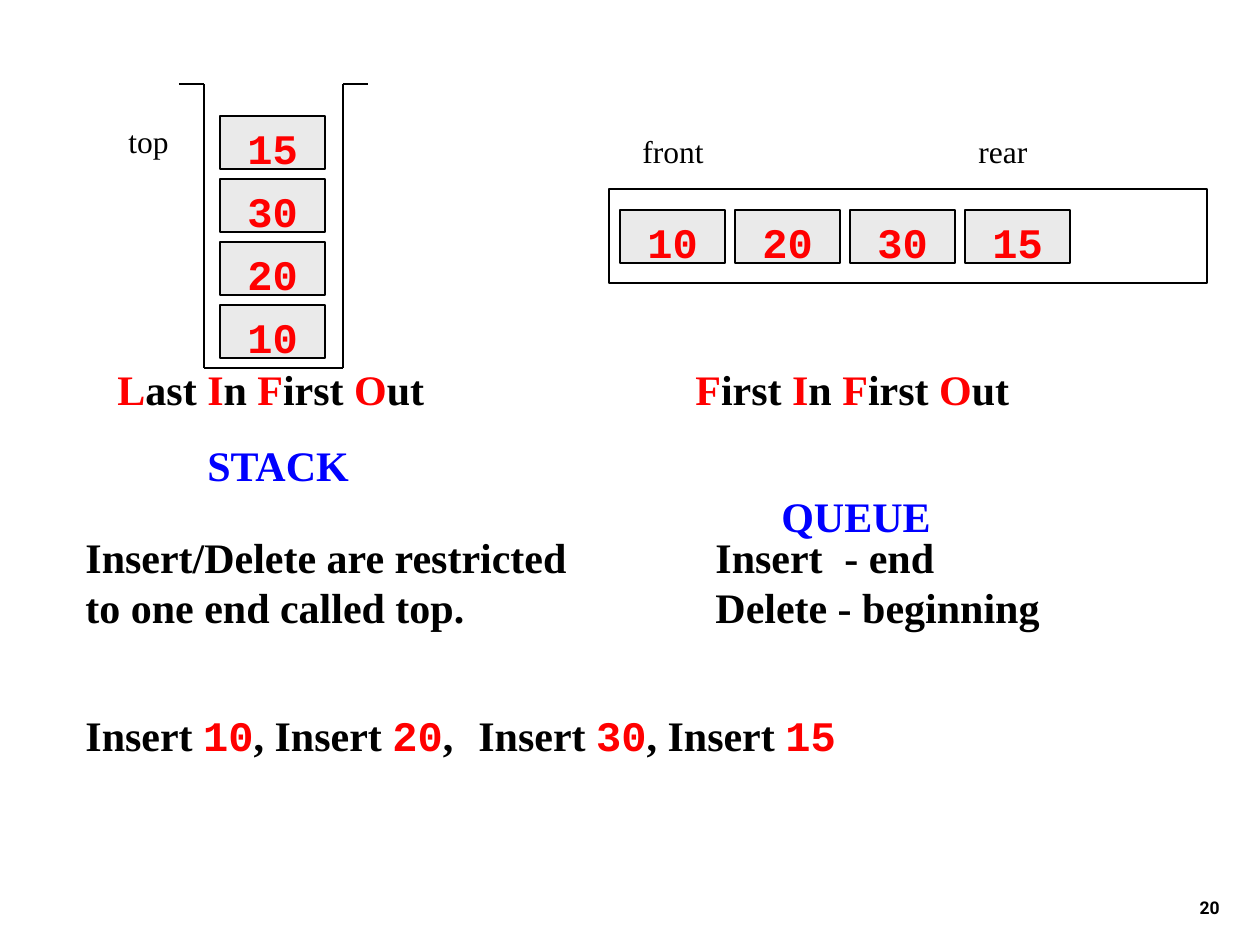
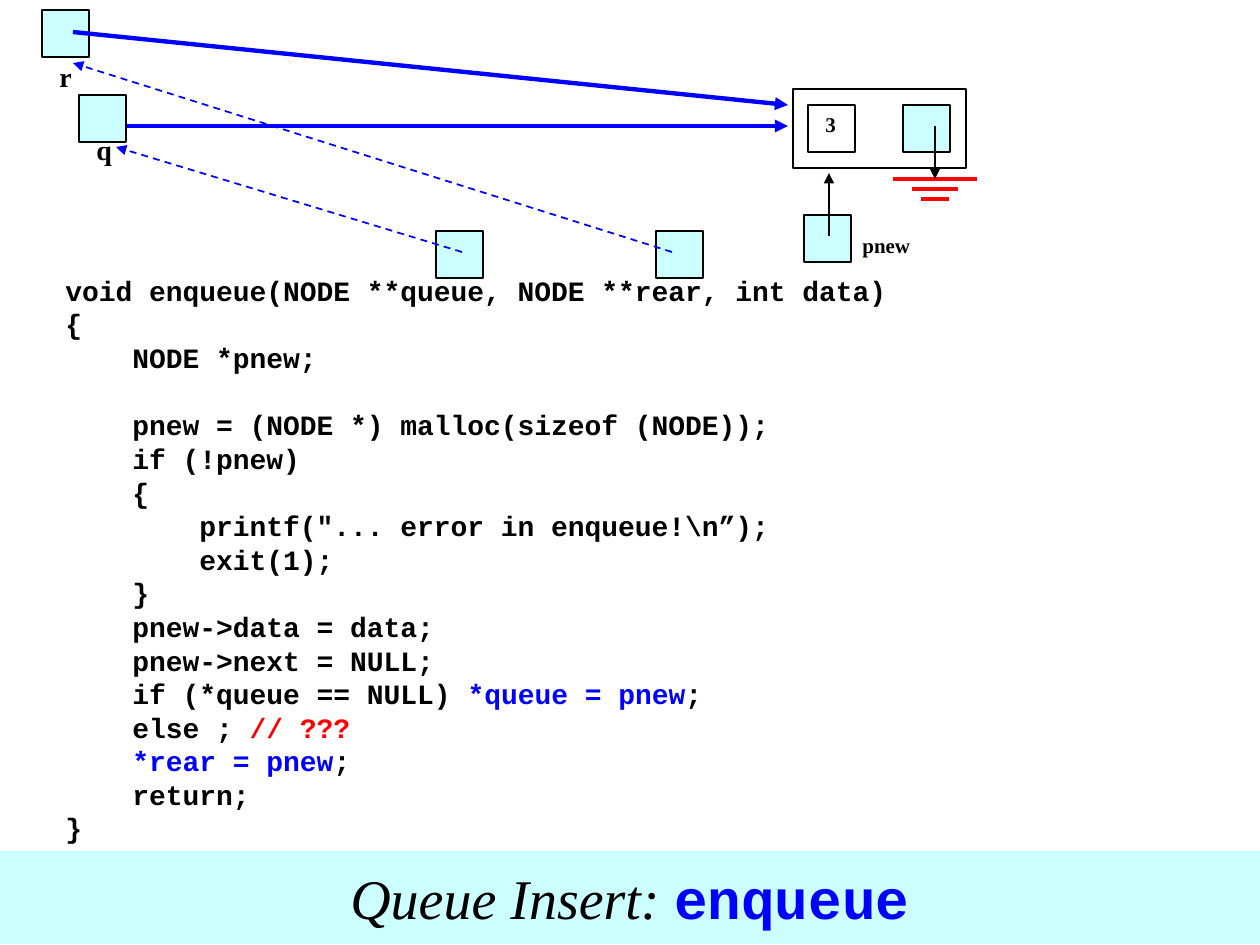
import pptx
import pptx.util
import pptx.dml.color
import pptx.enum.dml
import pptx.enum.shapes
import pptx.enum.text
import pptx.oxml.ns
import lxml.etree

HUES = {
    "ink": "000000",
    "paper": "FFFFFF",
    "red": "FF0000",
    "blue": "0000FF",
    "grey": "EAEAEA",
    "aqua": "CCFFFF",
}
SERIF = "Times New Roman"
MONO = "Courier New"
SIDE = 47
CELL = (105, 53)
RED = {"hue": "red"}
BLUE = {"hue": "blue"}
ALIGN = pptx.enum.text.PP_ALIGN
ANCHOR = pptx.enum.text.MSO_ANCHOR


def px(count):
    return round(count * 914400 / 126)


def rgb(hue):
    return pptx.dml.color.RGBColor.from_string(HUES[hue])


def child(node, tag, **attrs):
    return lxml.etree.SubElement(node, pptx.oxml.ns.qn(tag), **attrs)


def write(shape, *runs, size=24, font=SERIF, hue="ink", bold=True, slant=False,
          align=ALIGN.LEFT, before=0, indent=0, tab=0):
    frame = shape.text_frame
    para = frame.paragraphs[0]
    if para.runs:
        para = frame.add_paragraph()
    para.alignment = align
    para.space_before = pptx.util.Pt(before)
    props = para._p.get_or_add_pPr()
    if indent:
        props.set("marL", str(px(indent)))
        props.set("indent", "0")
    if tab:
        stops = child(props, "a:tabLst")
        child(stops, "a:tab", pos=str(px(tab)), algn="l")
    base = {"font": font, "hue": hue, "bold": bold, "slant": slant}
    for run in runs:
        words, extra = (run, {}) if isinstance(run, str) else run
        style = {**base, **extra}
        part = para.add_run()
        part.text = words
        part.font.size = pptx.util.Pt(size)
        part.font.name = style["font"]
        part.font.bold = style["bold"]
        part.font.italic = style["slant"]
        part.font.color.rgb = rgb(style["hue"])


def area(slide, box, anchor=ANCHOR.TOP):
    shape = slide.shapes.add_textbox(*map(px, box))
    shape.text_frame.word_wrap = True
    shape.text_frame.vertical_anchor = anchor
    return shape


def rect(slide, box, fill=None, line="ink", anchor=ANCHOR.TOP):
    kind = pptx.enum.shapes.MSO_SHAPE.RECTANGLE
    shape = slide.shapes.add_shape(kind, *map(px, box))
    shape.shadow.inherit = False
    if fill:
        shape.fill.solid()
        shape.fill.fore_color.rgb = rgb(fill)
    else:
        shape.fill.background()
    if line:
        shape.line.color.rgb = rgb(line)
        shape.line.width = pptx.util.Pt(0.75)
    else:
        shape.line.fill.background()
    shape.text_frame.word_wrap = True
    shape.text_frame.vertical_anchor = anchor
    return shape


def line(slide, start, end, hue="ink", width=0.75, dash=False, arrow=False):
    kind = pptx.enum.shapes.MSO_CONNECTOR.STRAIGHT
    link = slide.shapes.add_connector(kind, *map(px, (*start, *end)))
    link.line.color.rgb = rgb(hue)
    link.line.width = pptx.util.Pt(width)
    if dash:
        link.line.dash_style = pptx.enum.dml.MSO_LINE.DASH
    if arrow:
        child(link.line._get_or_add_ln(), "a:tailEnd", type="triangle")
    child(link._element.spPr, "a:effectLst")


def label(slide, box, words, **style):
    write(rect(slide, box, "paper", None), words, **style)


def cell(slide, left, top, value):
    shape = rect(slide, (left, top, *CELL), "grey")
    write(shape, value, font=MONO, hue="red", align=ALIGN.CENTER)


def square(slide, left, top, fill="aqua"):
    return rect(slide, (left, top, SIDE, SIDE), fill)


def stack(slide, box, values):
    left, top, width, height = box
    lip = 25
    right, base = left + width, top + height
    path = [(left, top), (left + lip, top), (left + lip, base),
            (right - lip, base), (right - lip, top), (right, top)]
    for start, end in zip(path, path[1:]):
        line(slide, start, end)
    for row, value in enumerate(reversed(values)):
        cell(slide, left + 41, top + 32 + 63 * row, value)
    label(slide, (left - 63, top + 32, 73, 53), "top", size=18, bold=False)


def queue(slide, box, values):
    left, top, width, height = box
    for col, value in enumerate(values):
        cell(slide, left + 11 + 115 * col, top + 21, value)
    rect(slide, box)
    for shift, words in ((21, "front"), (357, "rear")):
        label(slide, (left + shift, top - 63, *CELL), words, size=18, bold=False)


def motto(slide, box, phrase, name, gap):
    shape = area(slide, box)
    runs = []
    for place, word in enumerate(phrase.split()):
        lead = " " if place else ""
        runs += [lead, (word[0], RED), word[1:]]
    write(shape, *filter(None, runs))
    write(shape, name, hue="blue", align=ALIGN.CENTER, before=gap)


def compare(slide):
    values = ["10", "20", "30", "15"]
    stack(slide, (179, 84, 189, 284), values)
    queue(slide, (609, 189, 598, 94), values)
    motto(slide, (105, 357, 346, 140), "Last In First Out", "STACK", 15)
    motto(slide, (683, 357, 346, 190), "First In First Out", "QUEUE", 44)
    write(area(slide, (73, 525, 525, 113)),
          "Insert/Delete are restricted to one end called top.")
    ends = area(slide, (703, 525, 357, 113))
    write(ends, "Insert\t- end", tab=129)
    write(ends, "Delete - beginning")
    leads = ["Insert ", ", Insert ", ",\tInsert ", ", Insert "]
    runs = []
    for lead, value in zip(leads, values):
        runs += [lead, (value, {"font": MONO, "hue": "red"})]
    write(area(slide, (73, 703, 924, 63)), *runs, tab=393)
    write(area(slide, (970, 861, 262, 63), ANCHOR.BOTTOM), "20",
          size=10, font="Roboto", align=ALIGN.RIGHT)


def code(slide, box):
    rows = [
        (0, "void enqueue(NODE **queue, NODE **rear, int data)"),
        (0, "{"),
        (1, "NODE *pnew;"),
        (1, "pnew = (NODE *) malloc(sizeof (NODE));"),
        (1, "if (!pnew)"),
        (1, "{"),
        (2, r'printf("... error in enqueue!\n”);'),
        (2, "exit(1);"),
        (1, "}"),
        (1, "pnew->data = data;"),
        (1, "pnew->next = NULL;"),
        (1, "if (*queue == NULL) ", ("*queue = pnew", BLUE), ";"),
        (1, "else ; ", ("// ???", RED)),
        (1, ("*rear = pnew", BLUE), ";"),
        (1, "return;"),
        (0, "}"),
    ]
    shape = area(slide, box)
    for place, (depth, *runs) in enumerate(rows):
        write(shape, *runs, size=16, font=MONO, indent=67 * depth,
              before=19.5 if place == 3 else 0)


def node(slide, box):
    left, top, width, height = box
    rect(slide, box, "paper")
    square(slide, left + 110, top + 16)
    data = square(slide, left + 15, top + 16, "paper")
    write(data, "3", size=12, indent=5)
    label(slide, (left + 57, top + 137, 95, 47), "pnew", size=12)
    square(slide, left + 11, top + 126)
    line(slide, (left + 36, top + 147), (left + 36, top + 84), arrow=True)
    mid = left + 142
    for step, half in enumerate((42, 23, 14)):
        level = top + 90 + 10 * step
        line(slide, (mid - half, level), (mid + half, level), "red", 2)
    line(slide, (mid, top + 37), (mid, top + 90), arrow=True)


def links(slide, box):
    left, top = box[:2]

    def arrow(start, end, **style):
        ends = [(left + x, top + y) for x, y in (start, end)]
        line(slide, *ends, hue="blue", arrow=True, **style)

    arrow((105, 126), (788, 126), width=2.5)
    label(slide, (left + 47, top + 53, 42, 47), "r", size=16)
    label(slide, (left + 84, top + 126, 32, 47), "q", size=16)
    for x, y in ((79, 95), (436, 231), (656, 231), (42, 10)):
        square(slide, left + x, top + y)
    arrow((462, 252), (116, 147), width=1, dash=True)
    arrow((672, 252), (73, 63), width=1, dash=True)
    node(slide, (left + 793, top + 89, 173, 79))
    arrow((73, 32), (788, 105), width=2.5)


def title(slide, box):
    band = rect(slide, box, "aqua", None, ANCHOR.MIDDLE)
    band.text_frame.word_wrap = False
    write(band, "Queue Insert: ",
          ("enqueue", {"font": MONO, "hue": "blue", "bold": True, "slant": False}),
          size=32, bold=False, slant=True, align=ALIGN.CENTER)


def insert(slide):
    code(slide, (53, 267, 914, 617))
    links(slide, (0, 0, 1260, 267))
    title(slide, (0, 851, 1260, 93))


def main():
    deck = pptx.Presentation()
    deck.slide_width, deck.slide_height = px(1260), px(945)
    for build in (compare, insert):
        build(deck.slides.add_slide(deck.slide_layouts[6]))
    deck.save("out.pptx")


if __name__ == "__main__":
    main()
